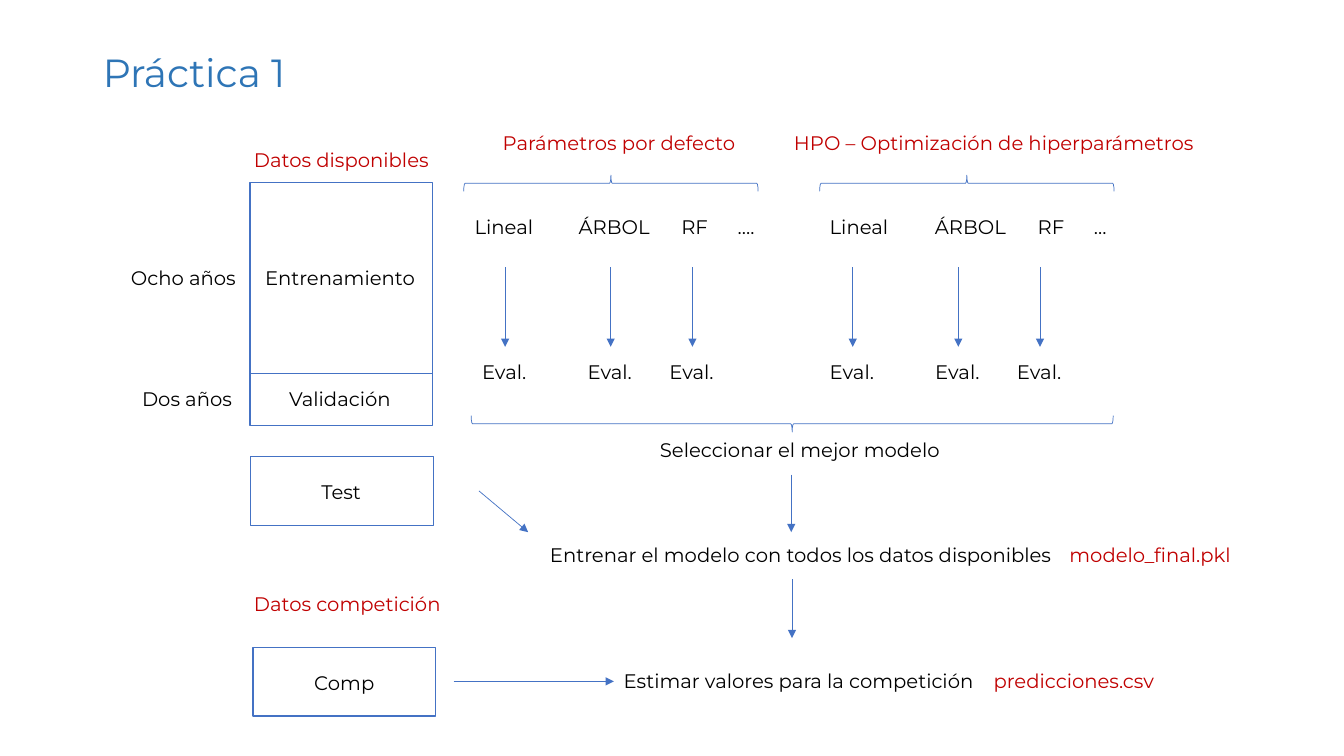
from lxml import etree
from pptx import Presentation
from pptx.dml.color import RGBColor
from pptx.enum import shapes, text
from pptx.oxml import ns
from pptx.util import Cm, Pt

BLUE = RGBColor(0x44, 0x72, 0xC4)
TITLE_BLUE = RGBColor(0x2E, 0x75, 0xB6)
RED = RGBColor(0xC0, 0x00, 0x00)
BLACK = RGBColor(0x00, 0x00, 0x00)
WHITE = RGBColor(0xFF, 0xFF, 0xFF)
FONT = "Montserrat"


def add_label(words, left, top, width, color=BLACK, height=0.86, wrap=False):
    box = page.shapes.add_textbox(Cm(left), Cm(top), Cm(width), Cm(height))
    box.text_frame.word_wrap = wrap
    para = box.text_frame.paragraphs[0]
    span = para.add_run()
    span.text = words
    span.font.name, span.font.size = FONT, Pt(14)
    span.font.color.rgb = color
    return para


def add_line(x1, y1, x2, y2, arrow=True):
    line = page.shapes.add_connector(
        shapes.MSO_CONNECTOR.STRAIGHT, Cm(x1), Cm(y1), Cm(x2), Cm(y2))
    line.line.color.rgb = BLUE
    line.line.width = Pt(0.5)
    if arrow:
        etree.SubElement(line.line._get_or_add_ln(), ns.qn("a:tailEnd"), type="triangle")
    etree.SubElement(line._element.spPr, ns.qn("a:effectLst"))


deck = Presentation()
deck.slide_width, deck.slide_height = Cm(33.87), Cm(19.05)
page = deck.slides.add_slide(deck.slide_layouts[5])

# Title
title = page.shapes.title
title.left, title.top, title.width, title.height = Cm(2.34), Cm(1.02), Cm(29.21), Cm(1.75)
title.text_frame.vertical_anchor = text.MSO_ANCHOR.MIDDLE
para = title.text_frame.paragraphs[0]
para.alignment = text.PP_ALIGN.LEFT
para.line_spacing = 0.9
span = para.add_run()
span.text = "Práctica 1"
span.font.name, span.font.size = FONT, Pt(28)
span.font.color.rgb = TITLE_BLUE

# Data boxes: available, test, competition
for left, top, height in [(6.3, 4.6, 6.12), (6.32, 11.51, 1.73), (6.38, 16.31, 1.73)]:
    data = page.shapes.add_shape(
        shapes.MSO_SHAPE.RECTANGLE, Cm(left), Cm(top), Cm(4.6), Cm(height))
    data.shadow.inherit = False
    data.fill.solid()
    data.fill.fore_color.rgb = WHITE
    data.line.color.rgb = BLUE
    data.line.width = Pt(1)
add_line(6.3, 9.4, 10.9, 9.4, arrow=False)

# Braces over each model group and under all evaluations
for left, top, length, turn in [(15.19, 0.91, 7.42, 90), (24.16, 0.91, 7.42, 90),
                                (19.76, 2.59, 16.18, 270)]:
    brace = page.shapes.add_shape(
        shapes.MSO_SHAPE.LEFT_BRACE, Cm(left), Cm(top), Cm(0.41), Cm(length))
    brace.rotation = turn
    brace.shadow.inherit = False
    brace.fill.background()
    brace.line.color.rgb = BLUE
    brace.line.width = Pt(0.5)

# Model names, spread with tab stops
models = ["Lineal", "ÁRBOL", "RF"]
names = add_label("\t".join(models + ["…."] + models + ["…"]),
                  11.71, 5.28, 16.99, height=1.45, wrap=True)
tabs = etree.SubElement(names._p.get_or_add_pPr(), ns.qn("a:tabLst"))
for stop in (2.62, 5.21, 6.63, 8.95, 11.6, 14.19, 15.61):
    etree.SubElement(tabs, ns.qn("a:tab"), pos=str(Cm(stop)), algn="l")

# One arrow and one evaluation per model
for group in (0, 8.76):
    for model in (12.73, 15.39, 17.45):
        x = group + model
        add_line(x, 6.73, x, 8.74)
        add_label("Eval.", x - 0.83, 8.94, 1.65)

# Remaining flow arrows
for ends in [(19.94, 11.96, 19.94, 13.41), (19.96, 14.6, 19.96, 16.08),
             (12.07, 12.37, 13.31, 13.41), (11.43, 17.17, 15.47, 17.17)]:
    add_line(*ends)

# Labels
for label in [
    ("Datos disponibles", 6.15, 3.61, 4.98, RED),
    ("Ocho años", 3.05, 6.58, 3.18),
    ("Entrenamiento", 6.43, 6.58, 4.34),
    ("Dos años", 3.33, 9.63, 2.79),
    ("Validación", 7.04, 9.63, 3.12),
    ("Test", 7.85, 11.96, 1.55),
    ("Datos competición", 6.15, 14.78, 5.26, RED),
    ("Comp", 7.67, 16.79, 2.06),
    ("Parámetros por defecto", 12.42, 3.18, 6.45, RED),
    ("HPO – Optimización de hiperparámetros", 19.76, 3.18, 10.69, RED),
    ("Seleccionar el mejor modelo", 16.38, 10.92, 7.65),
    ("Entrenar el modelo con todos los datos disponibles", 13.61, 13.56, 13.39),
    ("modelo_final.pkl", 26.7, 13.56, 4.65, RED),
    ("Estimar valores para la competición", 15.47, 16.74, 9.45),
    ("predicciones.csv", 24.79, 16.74, 4.62, RED),
]:
    add_label(*label)

deck.save("out.pptx")
